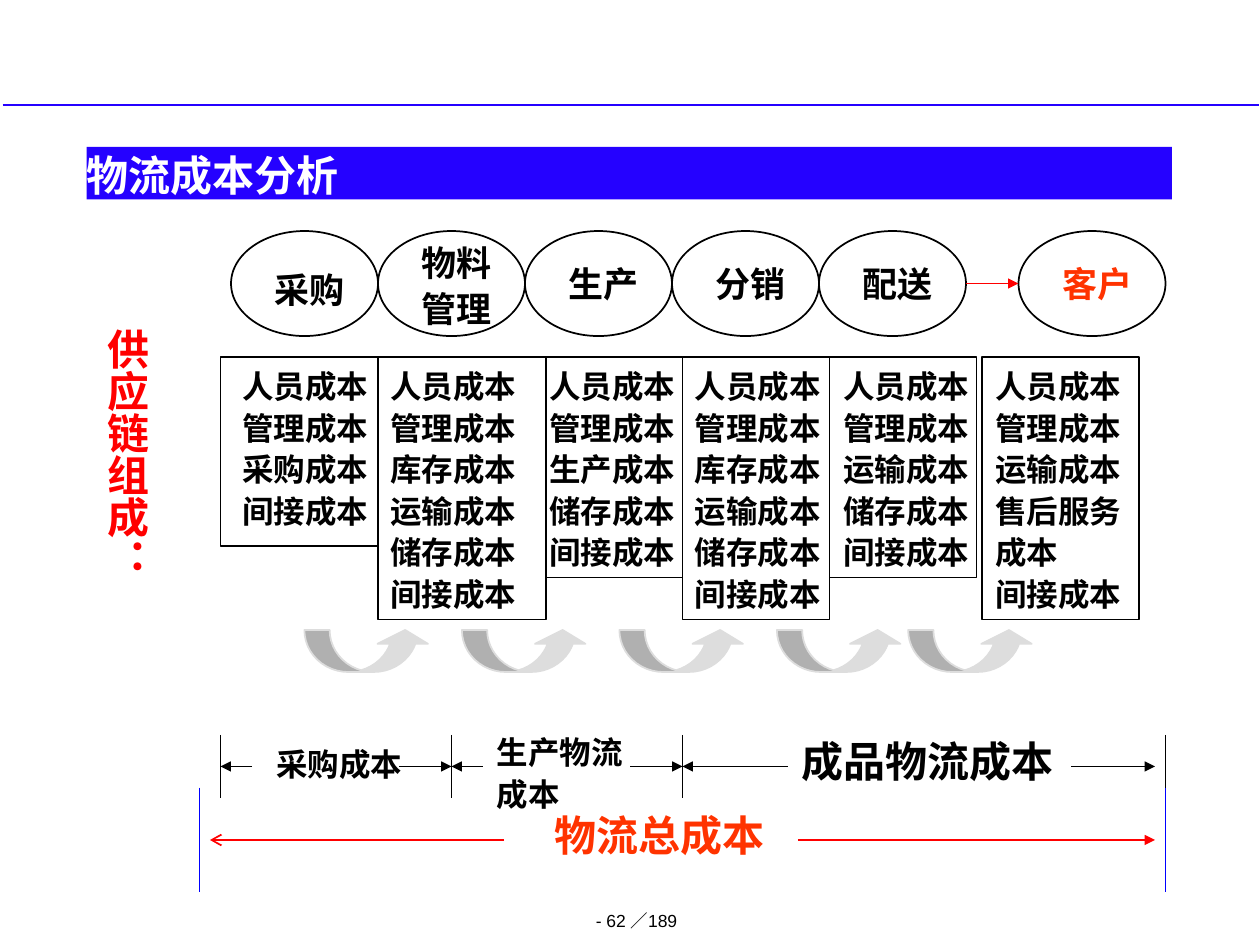
from lxml.etree import SubElement
from pptx import Presentation
from pptx.dml.color import RGBColor
from pptx.enum.shapes import MSO_CONNECTOR, MSO_SHAPE
from pptx.enum.text import MSO_ANCHOR, MSO_AUTO_SIZE, PP_ALIGN
from pptx.oxml.ns import qn
from pptx.util import Emu, Pt

BLACK = RGBColor(0x00, 0x00, 0x00)
WHITE = RGBColor(0xFF, 0xFF, 0xFF)
RED = RGBColor(0xFF, 0x00, 0x00)
ORANGE = RGBColor(0xFF, 0x33, 0x00)
BLUE = RGBColor(0x00, 0x00, 0xFF)
BRAND_BLUE = RGBColor(0x25, 0x01, 0xFF)
GREY = RGBColor(0xDD, 0xDD, 0xDD)
BODY_FONT = "Times New Roman"
TITLE_FONT = "Arial"

STAGE_TOP, STAGE_WIDTH, STAGE_HEIGHT = 176, 112, 80
COLUMN_TOP = 272
SPAN_Y, TOTAL_Y = 584, 640

# left, label top, label lines, colour
STAGES = [
    (176, 197, ["采购"], BLACK),
    (288, 176, ["物料", "管理"], BLACK),
    (400, 192, ["生产"], BLACK),
    (512, 192, ["分销"], BLACK),
    (624, 192, ["配送"], BLACK),
    (776, 192, ["客户"], ORANGE),
]
# left, width, height, left of a separate text box (None: text in the frame), items
COLUMNS = [
    (168, 120, 144, 175, ["人员成本", "管理成本", "采购成本", "间接成本"]),
    (288, 128, 200, None,
     ["人员成本", "管理成本", "库存成本", "运输成本", "储存成本", "间接成本"]),
    (416, 104, 168, 409, ["人员成本", "管理成本", "生产成本", "储存成本", "间接成本"]),
    (520, 112, 200, 520,
     ["人员成本", "管理成本", "库存成本", "运输成本", "储存成本", "间接成本"]),
    (632, 112, 168, 633, ["人员成本", "管理成本", "运输成本", "储存成本", "间接成本"]),
    (748, 120, 200, 749,
     ["人员成本", "管理成本", "运输成本", "售后服务", "成本", "间接成本"]),
]
CURVED_ARROW_LEFTS = [232, 352, 472, 592, 692]
SPAN_TICKS = [168, 344, 520, 888]
SPAN_ARROWS = [(192, 168), (304, 344), (368, 344), (480, 520), (600, 520), (816, 880)]
# left, top, lines, size, colour
SPAN_LABELS = [
    (201, 560, ["采购成本"], 18, BLACK),
    (369, 551, ["生产物流", "成本"], 18, BLACK),
    (601, 552, ["成品物流成本"], 24, BLACK),
    (413, 608, ["物流总成本"], 24, ORANGE),
]


def px(value):
    return Emu(value * 9525)


def box(*lengths):
    return [px(length) for length in lengths]


def set_margins(frame, horizontal, vertical):
    frame.margin_left = frame.margin_right = Pt(horizontal)
    frame.margin_top = frame.margin_bottom = Pt(vertical)


def write_lines(frame, lines, size, color, font=BODY_FONT, bold=True,
                spacing=1.1, alignment=PP_ALIGN.LEFT):
    frame.text = "\n".join(lines)
    frame.vertical_anchor = MSO_ANCHOR.TOP
    for paragraph in frame.paragraphs:
        paragraph.alignment = alignment
        paragraph.line_spacing = spacing
        paragraph.font.name = font
        paragraph.font.size = Pt(size)
        paragraph.font.bold = bold
        paragraph.font.color.rgb = color


def fit_without_wrap(frame):
    frame.word_wrap = False
    frame.auto_size = MSO_AUTO_SIZE.SHAPE_TO_FIT_TEXT


def add_label(slide, left, top, lines, size, color):
    """Add an unwrapped text box with room for its longest line."""
    width = max(map(len, lines)) * size * 4 // 3 + 22
    height = len(lines) * size * 16 // 9 + 9
    shape = slide.shapes.add_textbox(*box(left, top, width, height))
    write_lines(shape.text_frame, lines, size, color)
    fit_without_wrap(shape.text_frame)


def add_outline(slide, kind, left, top, width, height):
    shape = slide.shapes.add_shape(kind, *box(left, top, width, height))
    shape.shadow.inherit = False
    shape.fill.background()
    shape.line.color.rgb = BLACK
    shape.line.width = Pt(1)
    return shape


def add_line(slide, start, end, color, head=None):
    line = slide.shapes.add_connector(MSO_CONNECTOR.STRAIGHT, *box(*start, *end))
    line.line.color.rgb = color
    line.line.width = Pt(1)
    if head:
        SubElement(line.element.spPr.find(qn("a:ln")), qn("a:tailEnd"), type=head)
    SubElement(line.element.spPr, qn("a:effectLst"))


def add_title(slide):
    title = slide.shapes.title
    title.left, title.top, title.width, title.height = box(66, 112, 827, 40)
    title.fill.solid()
    title.fill.fore_color.rgb = BRAND_BLUE
    set_margins(title.text_frame, 0, 0)
    write_lines(title.text_frame, ["物流成本分析"], 24, WHITE, TITLE_FONT, spacing=Pt(30))


def add_page_number(slide):
    shape = slide.shapes.add_textbox(*box(430, 693, 110, 32))
    set_margins(shape.text_frame, 0, 0)
    shape.text_frame.word_wrap = True
    write_lines(shape.text_frame, ["- 62 ／189"], 10, BLACK, TITLE_FONT,
                bold=False, spacing=1.0, alignment=PP_ALIGN.CENTER)


def add_vertical_heading(slide):
    shape = slide.shapes.add_textbox(*box(64, 241, 61, 212))
    set_margins(shape.text_frame, 3.6, 7.2)
    shape.element.txBody.bodyPr.set("vert", "eaVert")
    write_lines(shape.text_frame, ["供应链组成："], 24, RED)
    fit_without_wrap(shape.text_frame)


def add_stage(slide, left, label_top, lines, color):
    add_outline(slide, MSO_SHAPE.OVAL, left, STAGE_TOP, STAGE_WIDTH, STAGE_HEIGHT)
    add_label(slide, left + 24, label_top, lines, 20, color)


def add_cost_column(slide, left, width, height, text_left, items):
    frame = add_outline(slide, MSO_SHAPE.RECTANGLE, left, COLUMN_TOP, width, height)
    if text_left is None:
        write_lines(frame.text_frame, items, 18, BLACK)
    else:
        add_label(slide, text_left, COLUMN_TOP, items, 18, BLACK)


def add_curved_arrow(slide, left):
    arrow = add_outline(slide, MSO_SHAPE.CURVED_UP_ARROW, left, 480, 96, 32)
    arrow.fill.solid()
    arrow.fill.fore_color.rgb = GREY
    arrow.line.color.rgb = GREY
    for index, value in enumerate((0.6, 1.2, 0.33)):
        arrow.adjustments[index] = value


def add_cost_spans(slide):
    for x in SPAN_TICKS:
        add_line(slide, (x, 560), (x, 608), BLACK)
    for start, end in SPAN_ARROWS:
        add_line(slide, (start, SPAN_Y), (end, SPAN_Y), BLACK, "triangle")
    for x in (152, 888):
        add_line(slide, (x, 600), (x, 680), BLUE)
    add_line(slide, (384, TOTAL_Y), (160, TOTAL_Y), RED, "arrow")
    add_line(slide, (608, TOTAL_Y), (880, TOTAL_Y), RED, "triangle")
    for label in SPAN_LABELS:
        add_label(slide, *label)


def main():
    presentation = Presentation()
    presentation.slide_width, presentation.slide_height = box(960, 720)
    slide = presentation.slides.add_slide(presentation.slide_layouts[5])
    add_page_number(slide)
    add_line(slide, (2, 80), (959, 80), BRAND_BLUE)
    add_title(slide)
    add_vertical_heading(slide)
    for stage in STAGES:
        add_stage(slide, *stage)
    add_line(slide, (736, 216), (776, 216), RED, "triangle")
    for column in COLUMNS:
        add_cost_column(slide, *column)
    for left in CURVED_ARROW_LEFTS:
        add_curved_arrow(slide, left)
    add_cost_spans(slide)
    presentation.save("out.pptx")


if __name__ == "__main__":
    main()
